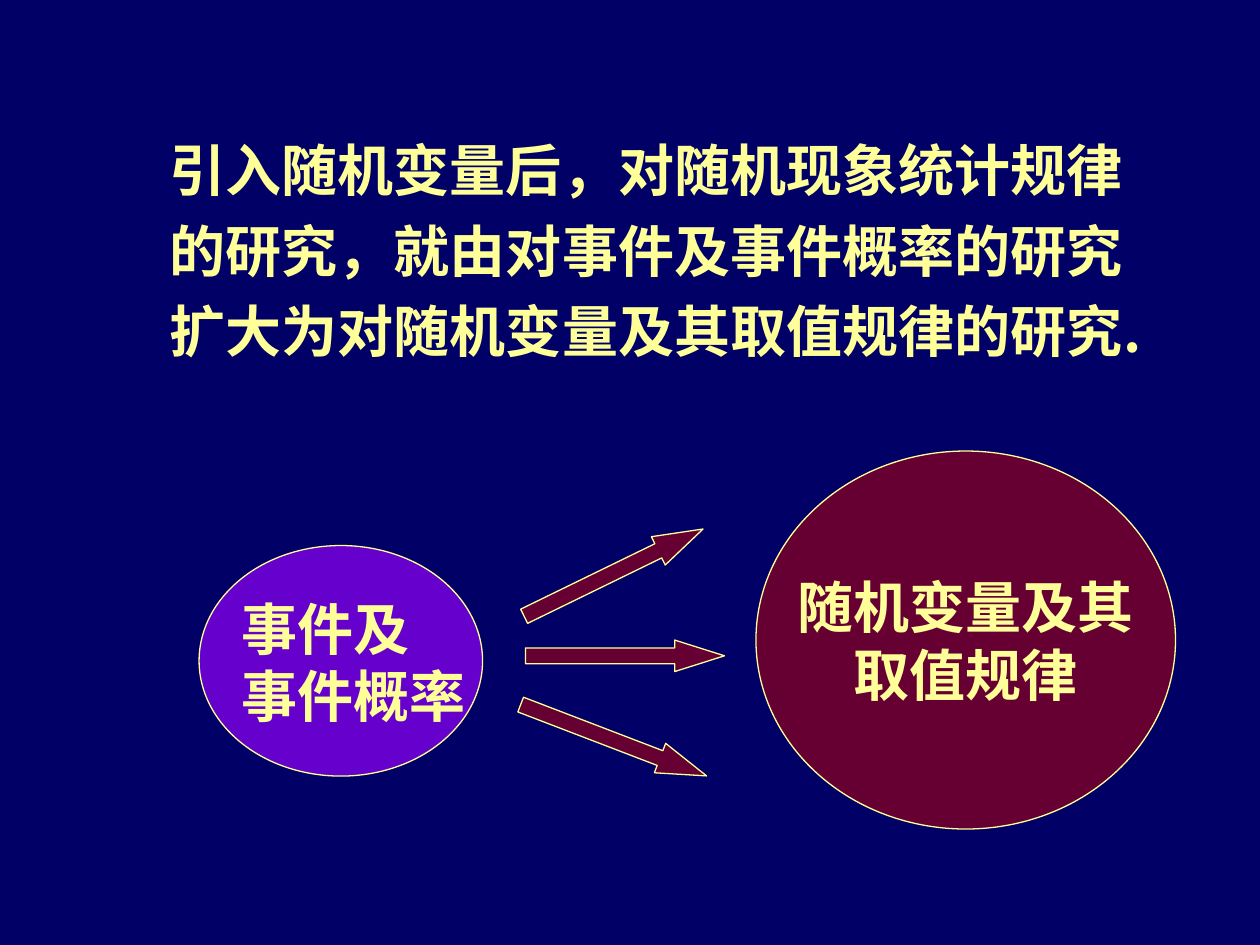
"""Build a slide on moving from events to random variables."""
import lxml.etree
import pptx
import pptx.dml.color
import pptx.enum.shapes
import pptx.enum.text
import pptx.oxml.ns
import pptx.util

Inches = pptx.util.Inches
RGBColor = pptx.dml.color.RGBColor
Shape = pptx.enum.shapes.MSO_SHAPE
Align = pptx.enum.text.PP_ALIGN

NAVY = RGBColor(0x00, 0x00, 0x66)
CREAM = RGBColor(0xFF, 0xFF, 0x99)
PURPLE = RGBColor(0x66, 0x00, 0xCC)
MAROON = RGBColor(0x66, 0x00, 0x33)
CHINESE_FONT = "Noto Sans CJK SC"
LATIN_FONT = "Times New Roman"


def add_outlined(page, kind, place, color):
    shape = page.shapes.add_shape(kind, *map(Inches, place))
    shape.shadow.inherit = False
    shape.fill.solid()
    shape.fill.fore_color.rgb = color
    shape.line.color.rgb = CREAM
    shape.line.width = pptx.util.Pt(0.75)
    return shape


def write_lines(frame, lines, font_name, align=Align.LEFT):
    for index, line in enumerate(lines):
        para = frame.add_paragraph() if index else frame.paragraphs[0]
        para.alignment = align
        span = para.add_run()
        span.text = line
        span.font.name = font_name
        span.font.size = pptx.util.Pt(32)
        span.font.bold = True
        span.font.color.rgb = CREAM
        east_asian = lxml.etree.SubElement(span.font._element, pptx.oxml.ns.qn("a:ea"))
        east_asian.set("typeface", CHINESE_FONT)


deck = pptx.Presentation()
deck.slide_width = Inches(10)
deck.slide_height = Inches(7.5)
page = deck.slides.add_slide(deck.slide_layouts[6])
page.background.fill.solid()
page.background.fill.fore_color.rgb = NAVY

intro = page.shapes.add_textbox(Inches(1.25), Inches(0.92), Inches(8.08), Inches(2.02))
intro.text_frame.word_wrap = True
write_lines(
    intro.text_frame,
    ["引入随机变量后，对随机现象统计规律的研究，就由对事件及事件概率的研究"
     "扩大为对随机变量及其取值规律的研究."],
    CHINESE_FONT,
)
intro.text_frame.paragraphs[0].line_spacing = 1.2

add_outlined(page, Shape.OVAL, (1.58, 4.33, 2.25, 1.83), PURPLE)
events = page.shapes.add_textbox(Inches(1.82), Inches(4.67), Inches(1.98), Inches(1.17))
events.text_frame.word_wrap = False
write_lines(events.text_frame, ["事件及", "事件概率"], LATIN_FONT)

for left, top, angle in [(4.17, 5.08, 0), (4.08, 4.42, 334), (4.08, 5.75, 21)]:
    arrow = add_outlined(page, Shape.RIGHT_ARROW, (left, top, 1.58, 0.25), MAROON)
    arrow.adjustments[0] = 0.5
    arrow.adjustments[1] = 1.58
    arrow.rotation = angle

variables = add_outlined(page, Shape.OVAL, (6, 3.58, 3.33, 3), MAROON)
variables.text_frame.word_wrap = False
variables.text_frame.vertical_anchor = pptx.enum.text.MSO_ANCHOR.MIDDLE
write_lines(variables.text_frame, ["随机变量及其", "取值规律"], LATIN_FONT, Align.CENTER)

deck.save("out.pptx")
